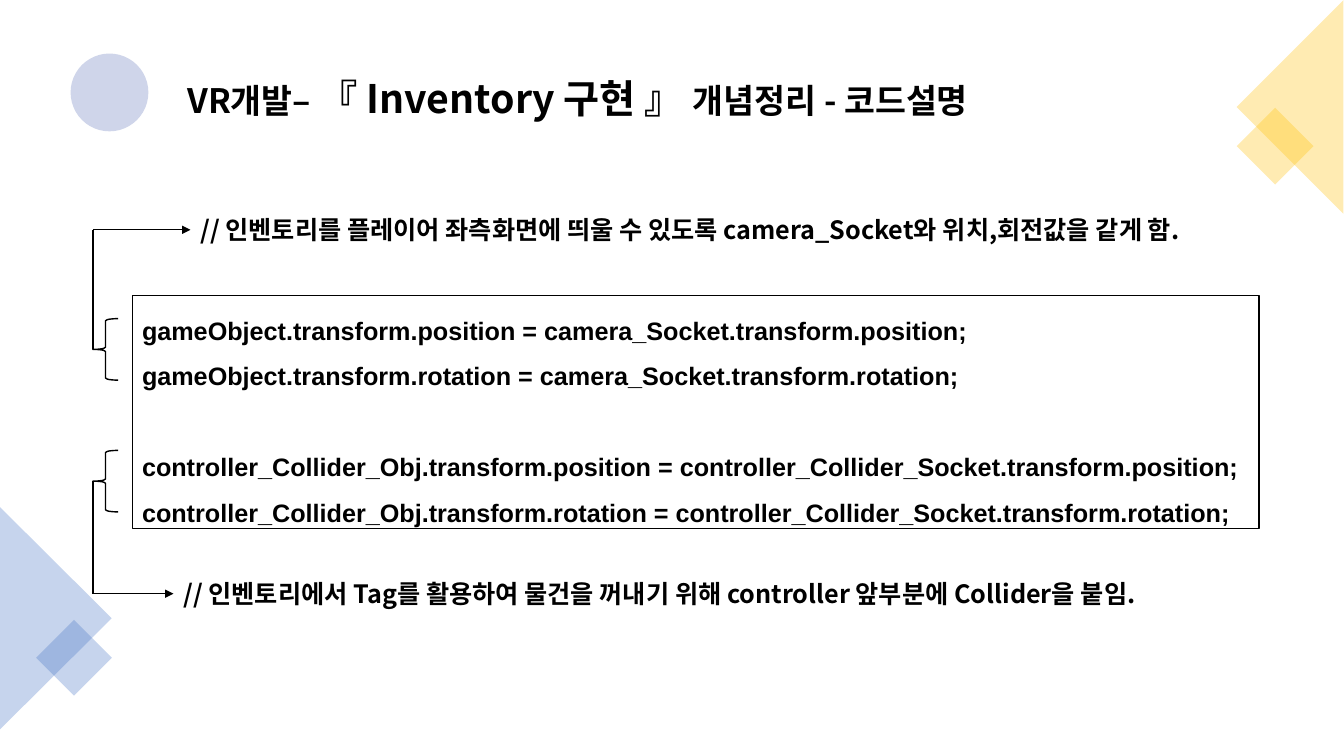
"""Build the slide that explains the inventory code of a VR project."""
import dataclasses
import typing

import pptx
import pptx.dml.color
import pptx.enum.shapes
import pptx.enum.text
import pptx.oxml
import pptx.oxml.ns
import pptx.util

Cm = pptx.util.Cm
Pt = pptx.util.Pt
RGBColor = pptx.dml.color.RGBColor
Preset = pptx.enum.shapes.MSO_SHAPE

BLACK = RGBColor(0x00, 0x00, 0x00)
BLUE = RGBColor(0x44, 0x72, 0xC4)
YELLOW = RGBColor(0xFF, 0xC0, 0x00)
PALE_BLUE = RGBColor(0xCF, 0xD5, 0xEA)
KOREAN_FONT = "Noto Sans CJK KR"
CODE_FONT = "Arial"
CODE_LINE_GAP = 32.5


@dataclasses.dataclass(frozen=True)
class Ornament:
    """A filled decorative shape, measured in centimetres and degrees."""
    preset: Preset
    left: float
    top: float
    width: float
    height: float
    color: RGBColor
    rotation: float = 0
    opacity: int = 100


@dataclasses.dataclass(frozen=True)
class Note:
    """A comment and the brace of code lines it explains, in centimetres."""
    text: str
    left: float
    top: float
    brace_top: float


ORNAMENTS = [
    Ornament(Preset.ISOSCELES_TRIANGLE, -1.4, 14.17, 5.61, 2.82, BLUE, 90, 30),
    Ornament(Preset.RECTANGLE, 1.19, 15.9, 1.35, 1.35, BLUE, 45, 30),
    Ornament(Preset.RECTANGLE, 31.45, 3, 1.37, 1.37, YELLOW, 45, 30),
    Ornament(Preset.ISOSCELES_TRIANGLE, 29.82, 1.35, 5.38, 2.69, YELLOW, 270, 30),
    Ornament(Preset.OVAL, 1.78, 1.35, 1.96, 1.96, PALE_BLUE),
]
TITLE = [("VR개발– ", 24), ("『 Inventory 구현 』 ", 28), ("개념정리 - 코드설명", 24)]
CODE_PAIRS = [
    ("gameObject", "camera_Socket"),
    ("controller_Collider_Obj", "controller_Collider_Socket"),
]
NOTES = [
    Note("// 인벤토리를 플레이어 좌측화면에 띄울 수 있도록 camera_Socket와 위치,회전값을 같게 함.",
         4.8, 5.28, 8.03),
    Note("// 인벤토리에서 Tag를 활용하여 물건을 꺼내기 위해 controller 앞부분에 Collider을 붙임.",
         4.37, 14.45, 11.35),
]


def add_child(parent: typing.Any, tag: str, **attributes: str) -> None:
    """Append a DrawingML element with the given attributes."""
    child = pptx.oxml.parse_xml(f"<{tag} {pptx.oxml.ns.nsdecls('a')}/>")
    for name, value in attributes.items():
        child.set(name, value)
    parent.append(child)


def add_span(para: typing.Any, text: str, *, size: float = 18, font: str = KOREAN_FONT) -> None:
    """Add bold black text to a paragraph."""
    span = para.add_run()
    span.text = text
    span.font.size = Pt(size)
    span.font.bold = True
    span.font.color.rgb = BLACK
    span.font.name = font
    add_child(span.font._element, "a:ea", typeface=font)


def add_text_box(page: typing.Any, left: float, top: float, width: float, height: float) -> typing.Any:
    """Add an empty wrapping text box."""
    box = page.shapes.add_textbox(Cm(left), Cm(top), Cm(width), Cm(height))
    box.text_frame.word_wrap = True
    return box


def add_outline(page: typing.Any, preset: Preset, left: float, top: float,
                width: float, height: float, *, weight: float) -> typing.Any:
    """Add an unfilled shape with a black outline."""
    shape = page.shapes.add_shape(preset, Cm(left), Cm(top), Cm(width), Cm(height))
    shape.shadow.inherit = False
    shape.fill.background()
    shape.line.color.rgb = BLACK
    shape.line.width = Pt(weight)
    return shape


def add_ornament(page: typing.Any, ornament: Ornament) -> None:
    """Draw one decorative shape."""
    shape = page.shapes.add_shape(ornament.preset, Cm(ornament.left), Cm(ornament.top),
                                  Cm(ornament.width), Cm(ornament.height))
    shape.shadow.inherit = False
    shape.rotation = ornament.rotation
    shape.fill.solid()
    shape.fill.fore_color.rgb = ornament.color
    shape.line.fill.background()
    if ornament.opacity < 100:
        color = shape._element.spPr.find(".//" + pptx.oxml.ns.qn("a:srgbClr"))
        add_child(color, "a:alpha", val=str(ornament.opacity * 1000))


def add_line(page: typing.Any, start: tuple[int, int], end: tuple[int, int]) -> typing.Any:
    """Add a straight black line."""
    line = page.shapes.add_connector(pptx.enum.shapes.MSO_CONNECTOR.STRAIGHT, *start, *end)
    line.line.color.rgb = BLACK
    line.line.width = Pt(1)
    add_child(line._element.spPr, "a:effectLst")
    return line


def add_code(page: typing.Any) -> None:
    """Add the framed code with a gap between the two pairs of lines."""
    box = add_outline(page, Preset.RECTANGLE, 3.33, 7.44, 28.4, 5.87, weight=0.75)
    frame = box.text_frame
    frame.word_wrap = True
    frame.vertical_anchor = pptx.enum.text.MSO_ANCHOR.TOP
    lines = [(target, source, field) for target, source in CODE_PAIRS
             for field in ("position", "rotation")]
    for index, (target, source, field) in enumerate(lines):
        para = frame.add_paragraph() if index else frame.paragraphs[0]
        para.alignment = pptx.enum.text.PP_ALIGN.LEFT
        para.line_spacing = 1.5
        if index == 2:
            para.space_before = Pt(CODE_LINE_GAP)
        add_span(para, f"{target}.transform.{field} = {source}.transform.{field};", font=CODE_FONT)


def add_note(page: typing.Any, note: Note) -> None:
    """Add a comment, its brace and the arrow between them."""
    box = add_text_box(page, note.left, note.top, 27.33, 1.02)
    add_span(box.text_frame.paragraphs[0], note.text)
    brace = add_outline(page, Preset.LEFT_BRACE, 2.34, note.brace_top, 0.64, 1.55, weight=1)
    corner = (brace.left, box.top + box.height // 2)
    add_line(page, (brace.left, brace.top + brace.height // 2), corner)
    arrow = add_line(page, corner, (box.left, corner[1]))
    arrow.end_connect(box, 1)
    add_child(arrow.line._get_or_add_ln(), "a:tailEnd", type="triangle")


def main() -> None:
    """Create the deck and save it."""
    deck = pptx.Presentation()
    deck.slide_width, deck.slide_height = Cm(33.87), Cm(19.05)
    page = deck.slides.add_slide(deck.slide_layouts[6])
    for ornament in ORNAMENTS:
        add_ornament(page, ornament)
    title = add_text_box(page, 4.47, 1.75, 27.61, 1.45)
    for text, size in TITLE:
        add_span(title.text_frame.paragraphs[0], text, size=size)
    add_code(page)
    for note in NOTES:
        add_note(page, note)
    deck.save("out.pptx")


if __name__ == "__main__":
    main()
